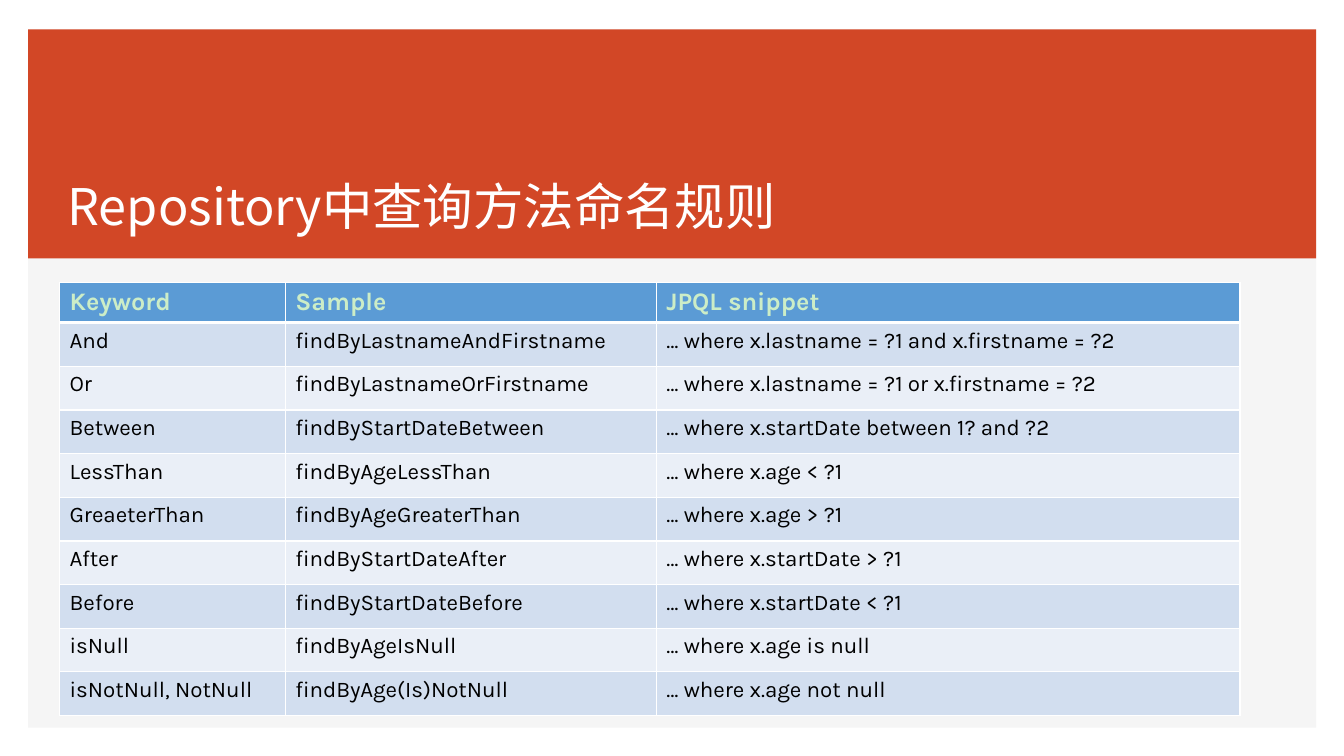
from collections import namedtuple

from lxml import etree
from pptx import Presentation
from pptx.dml.color import RGBColor
from pptx.enum.shapes import MSO_SHAPE
from pptx.enum.text import MSO_ANCHOR
from pptx.oxml.ns import qn
from pptx.util import Cm, Pt

RECTANGLE = MSO_SHAPE.RECTANGLE
TOP, BOTTOM = MSO_ANCHOR.TOP, MSO_ANCHOR.BOTTOM

COLORS = {
    "panel": "F5F5F5",
    "banner": "D24726",
    "white": "FFFFFF",
    "header": "5B9BD5",
    "header_text": "CCEDC7",
    "odd_row": "D2DEEF",
    "even_row": "EAEFF7",
    "text": "000000",
}
TITLE_FONT, TABLE_FONT = "Noto Sans CJK SC", "Karla"

Box = namedtuple("Box", "left top width height")  # centimetres
PANEL = Box(0.71, 0.74, 32.46, 17.6)
BANNER = PANEL._replace(height=5.77)
TABLE = Box(1.5, 7.11, 29.75, 10.92)

COLUMN_WIDTHS = (5.69, 9.35, 14.71)
HEADER_HEIGHT = 1.02
TITLE = "Repository中查询方法命名规则"
HEADINGS = ("Keyword", "Sample", "JPQL snippet")
RULES = (
    ("And", "findByLastnameAndFirstname", "x.lastname = ?1 and x.firstname = ?2"),
    ("Or", "findByLastnameOrFirstname", "x.lastname = ?1 or x.firstname = ?2"),
    ("Between", "findByStartDateBetween", "x.startDate between 1? and ?2"),
    ("LessThan", "findByAgeLessThan", "x.age < ?1"),
    ("GreaeterThan", "findByAgeGreaterThan", "x.age > ?1"),
    ("After", "findByStartDateAfter", "x.startDate > ?1"),
    ("Before", "findByStartDateBefore", "x.startDate < ?1"),
    ("isNull", "findByAgeIsNull", "x.age is null"),
    ("isNotNull, NotNull", "findByAge(Is)NotNull", "x.age not null"),
)


def rgb(name):
    """Return the named colour."""
    return RGBColor.from_string(COLORS[name])


def lengths(box):
    """Convert a box in centimetres to slide lengths."""
    return [Cm(value) for value in box]


def write(frame, text, font, size, color, bold=False, anchor=TOP):
    """Write one formatted line into a text frame or a table cell's frame."""
    frame.word_wrap = True
    frame.vertical_anchor = anchor
    span = frame.paragraphs[0].add_run()
    span.text = text
    span.font.name = font
    span.font.size = Pt(size)
    span.font.bold = bold
    span.font.color.rgb = rgb(color)
    etree.SubElement(span.font._element, qn("a:ea"), typeface=font)


def add_block(page, box, color):
    """Add a plain filled rectangle."""
    block = page.shapes.add_shape(RECTANGLE, *lengths(box))
    block.shadow.inherit = False
    block.fill.solid()
    block.fill.fore_color.rgb = rgb(color)
    block.line.fill.background()


def add_banner(page, box):
    """Add the red banner with the title near its lower left corner."""
    add_block(page, box, "banner")
    title_box = Box(box.left + 0.74, box.top + 3.53, 19.1, 1.78)
    title = page.shapes.add_textbox(*lengths(title_box))
    write(title.text_frame, TITLE, TITLE_FONT, 36, "white", anchor=BOTTOM)


def add_borders(cell, **widths):
    """Draw white cell borders; each keyword is a side with its points."""
    properties = cell._tc.get_or_add_tcPr()
    for side, width in widths.items():
        line = etree.SubElement(properties, qn("a:ln" + side), w=str(Pt(width)))
        fill = etree.SubElement(line, qn("a:solidFill"))
        etree.SubElement(fill, qn("a:srgbClr"), val=COLORS["white"])


def add_rules_table(page, box):
    """Add the banded table of naming rules."""
    rows = [HEADINGS]
    rows += [(keyword, sample, "… where " + clause) for keyword, sample, clause in RULES]
    table = page.shapes.add_table(len(rows), len(HEADINGS), *lengths(box)).table
    for column, width in zip(table.columns, COLUMN_WIDTHS):
        column.width = Cm(width)
    body_height = (box.height - HEADER_HEIGHT) / len(RULES)
    for index, texts in enumerate(rows):
        is_header = index == 0
        table.rows[index].height = Cm(HEADER_HEIGHT if is_header else body_height)
        if is_header:
            fill, style = "header", dict(size=18, color="header_text", bold=True)
        else:
            fill = "odd_row" if index % 2 else "even_row"
            style = dict(size=16, color="text")
        for column, text in enumerate(texts):
            cell = table.cell(index, column)
            add_borders(cell, L=1, R=1, T=3 if index == 1 else 1, B=3 if is_header else 1)
            cell.fill.solid()
            cell.fill.fore_color.rgb = rgb(fill)
            write(cell.text_frame, text, TABLE_FONT, **style)


def build_page(deck):
    """Add the slide with its panel, banner and table."""
    page = deck.slides.add_slide(deck.slide_layouts[6])
    page.background.fill.solid()
    page.background.fill.fore_color.rgb = rgb("white")
    add_block(page, PANEL, "panel")
    add_banner(page, BANNER)
    add_rules_table(page, TABLE)


deck = Presentation()
deck.slide_width, deck.slide_height = Cm(33.87), Cm(19.05)
build_page(deck)
deck.save("out.pptx")
